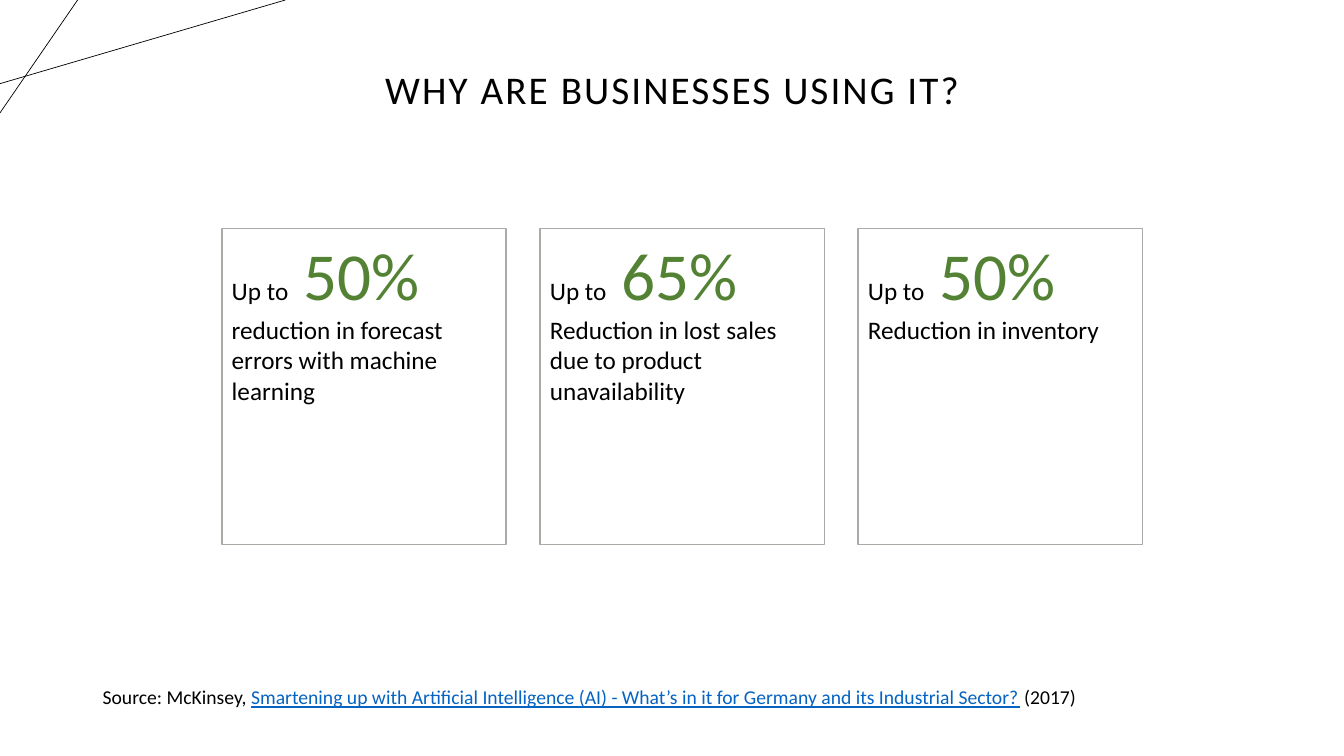
from lxml.etree import SubElement
from pptx import Presentation
from pptx.dml.color import RGBColor
from pptx.enum.shapes import MSO_CONNECTOR, MSO_SHAPE
from pptx.enum.text import MSO_ANCHOR, MSO_AUTO_SIZE, PP_ALIGN
from pptx.oxml.ns import qn
from pptx.util import Inches, Pt

COLORS = {"text": "000000", "card": "FFFFFF", "border": "ACAAA5",
          "figure": "548235", "link": "0563C1"}


class Slide:
    font = "Calibri"

    def __init__(self, prs):
        self.s = prs.slides.add_slide(prs.slide_layouts[5])

    def color(self, name):
        return RGBColor.from_string(COLORS[name])

    def style(self, p, size, align=PP_ALIGN.LEFT):
        p.alignment = align
        p.font.name = self.font
        p.font.size = Pt(size)
        p.font.color.rgb = self.color("text")

    def run(self, p, text, size=None, color=None, underline=None):
        r = p.add_run()
        r.text = text
        if size:
            r.font.size = Pt(size)
        if color:
            r.font.color.rgb = self.color(color)
        if underline:
            r.font.underline = True
        return r

    def title(self, text, x, y, w, h):
        sp = self.s.shapes.title
        sp.left, sp.top, sp.width, sp.height = map(Inches, (x, y, w, h))
        tf = sp.text_frame
        tf.auto_size = MSO_AUTO_SIZE.NONE
        tf.vertical_anchor = MSO_ANCHOR.MIDDLE
        p = tf.paragraphs[0]
        p.line_spacing = 0.9
        self.style(p, 28, PP_ALIGN.CENTER)
        r = self.run(p, text)
        r._r.get_or_add_rPr().set("spc", "150")

    def line(self, x1, y1, x2, y2):
        sp = self.s.shapes.add_connector(
            MSO_CONNECTOR.STRAIGHT, *map(Inches, (x1, y1, x2, y2)))
        sp.line.color.rgb = self.color("text")
        sp.line.width = Pt(0.5)
        SubElement(sp._element.spPr, qn("a:effectLst"))

    def card(self, figure, label, x, y, w, h):
        sp = self.s.shapes.add_shape(
            MSO_SHAPE.RECTANGLE, *map(Inches, (x, y, w, h)))
        sp.shadow.inherit = False
        sp.fill.solid()
        sp.fill.fore_color.rgb = self.color("card")
        sp.line.color.rgb = self.color("border")
        sp.line.width = Pt(1)
        tf = sp.text_frame
        tf.word_wrap = True
        tf.vertical_anchor = MSO_ANCHOR.TOP
        p = tf.paragraphs[0]
        self.style(p, 18)
        self.run(p, "Up to")
        self.run(p, " ", 48)
        self.run(p, figure, 48, "figure")
        p = tf.add_paragraph()
        self.style(p, 18)
        self.run(p, label)

    def source(self, before, link, after, x, y, w, h):
        sp = self.s.shapes.add_textbox(*map(Inches, (x, y, w, h)))
        tf = sp.text_frame
        tf.word_wrap = True
        p = tf.paragraphs[0]
        self.style(p, 14)
        self.run(p, before)
        self.run(p, link, color="link", underline=True)
        self.run(p, after)


def main():
    prs = Presentation()
    prs.slide_width, prs.slide_height = Inches(13.33), Inches(7.5)
    slide = Slide(prs)
    slide.line(0, 0.83, 2.83, 0)
    slide.line(0.77, 0, 0, 1.12)
    slide.title("WHY ARE BUSINESSES USING IT?", 0.21, 0.3, 12.92, 1.23)
    benefits = [
        ("50%", "reduction in forecast errors with machine learning"),
        ("65%", "Reduction in lost sales due to product unavailability"),
        ("50%", "Reduction in inventory"),
    ]
    for i, (figure, label) in enumerate(benefits):
        slide.card(figure, label, 2.2 + i * 3.155, 2.27, 2.82, 3.13)
    slide.source(
        "Source: McKinsey, ",
        "Smartening up with Artificial Intelligence (AI) - "
        "What’s in it for Germany and its Industrial Sector?",
        " (2017)", 0.92, 6.75, 10.83, 0.34)
    prs.save("out.pptx")


if __name__ == "__main__":
    main()
